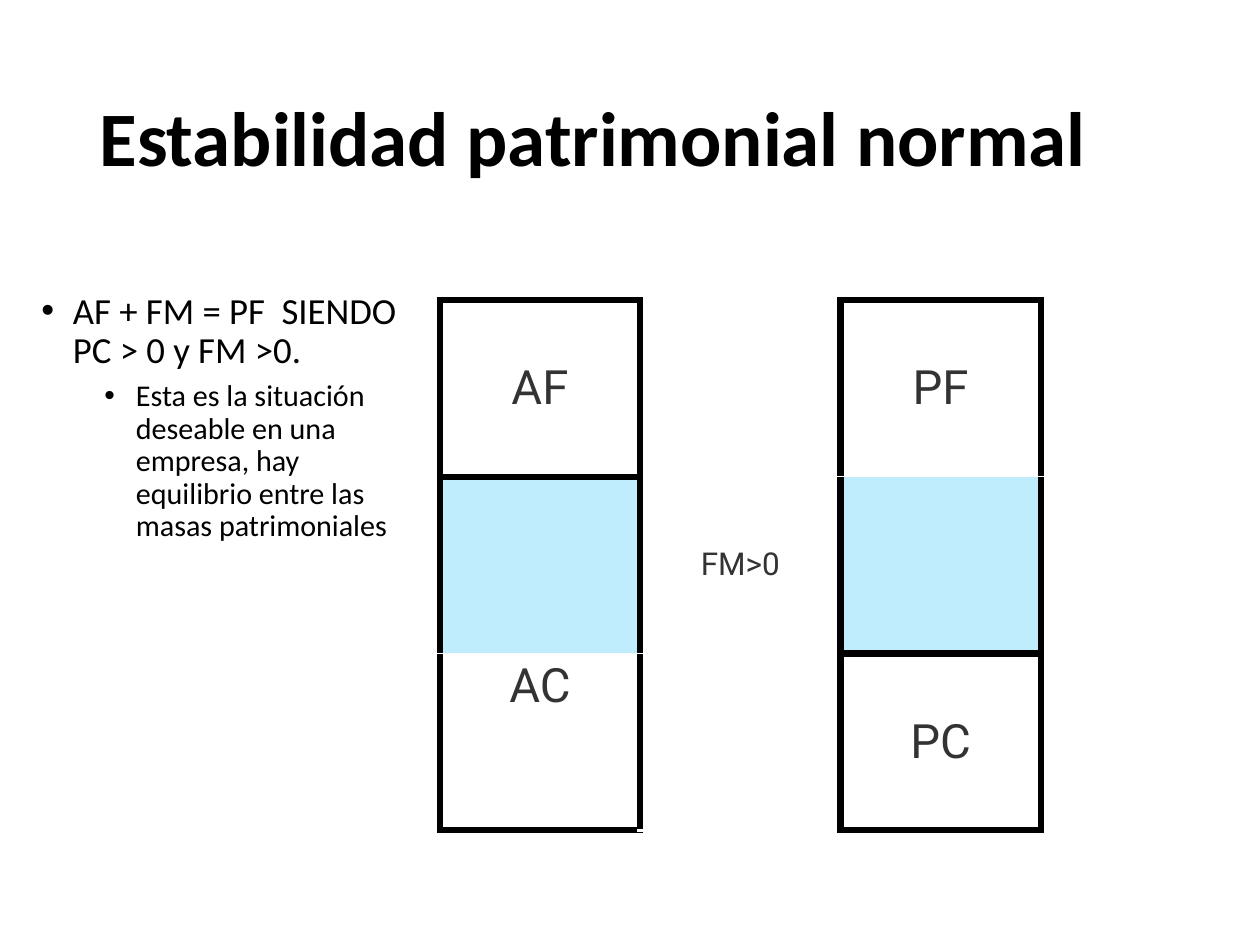
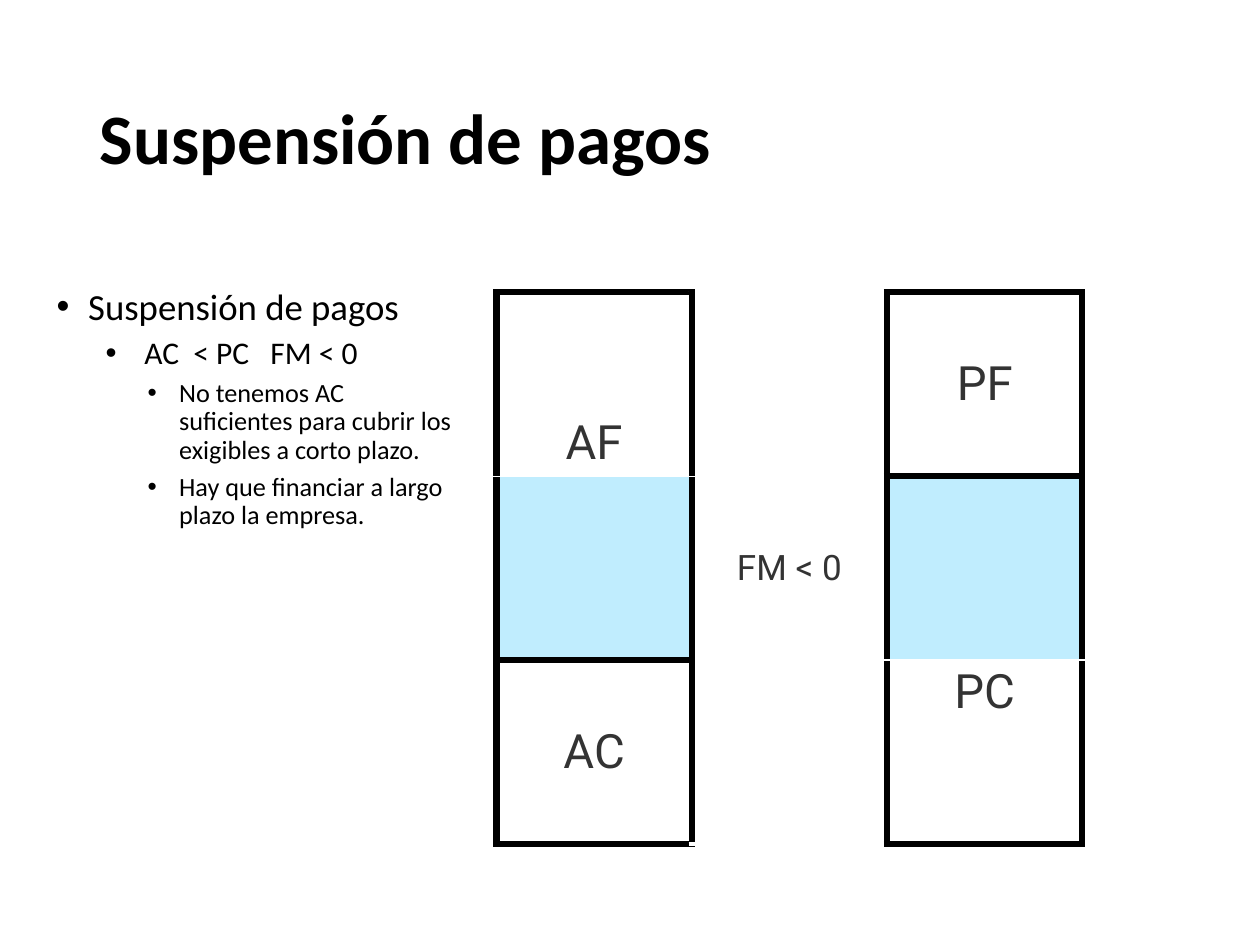
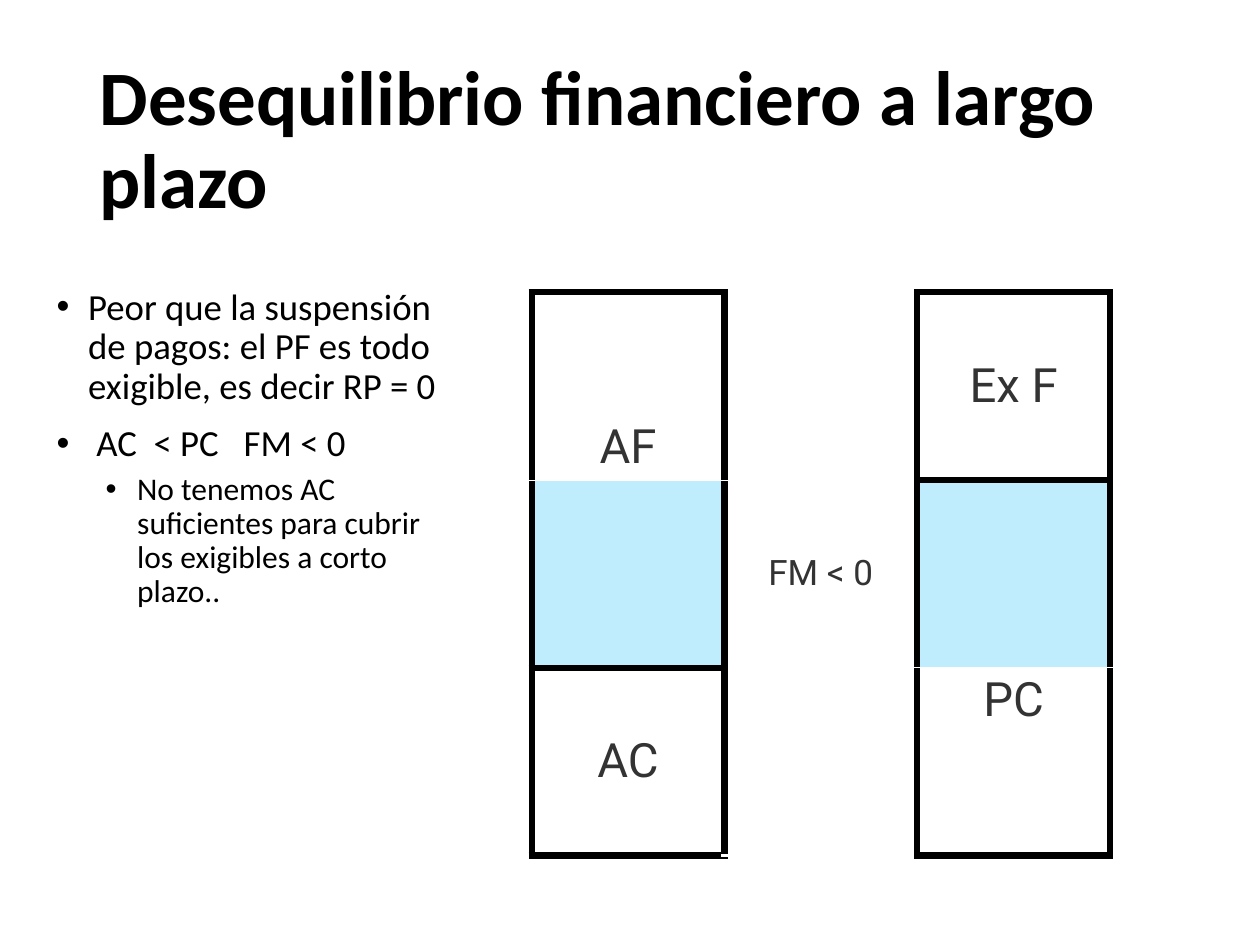
from dataclasses import dataclass

from lxml import etree
from pptx import Presentation
from pptx.dml.color import RGBColor
from pptx.enum.text import MSO_ANCHOR, MSO_AUTO_SIZE, PP_ALIGN
from pptx.oxml.ns import qn
from pptx.slide import Slide
from pptx.table import Table, _Cell
from pptx.text.text import TextFrame, _Paragraph
from pptx.util import Pt

TOP, MID, LOW = MSO_ANCHOR.TOP, MSO_ANCHOR.MIDDLE, MSO_ANCHOR.BOTTOM
LEFT, MIDST = PP_ALIGN.LEFT, PP_ALIGN.CENTER
FIXED = MSO_AUTO_SIZE.NONE

BLACK = RGBColor(0x00, 0x00, 0x00)
WHITE = RGBColor(0xFF, 0xFF, 0xFF)
GREY = RGBColor(0x33, 0x33, 0x33)
SKY = RGBColor(0xC0, 0xED, 0xFE)

BODY_FONT, GRID_FONT = "Calibri", "Roboto"
HANG = 18
PAD = 2.9
WALL = (BLACK, 4)


@dataclass(frozen=True)
class Item:
    text: str
    size: float
    indent: float = 18
    level: int = 0


@dataclass(frozen=True)
class Bar:
    upper: str
    lower: str
    joint: int
    seam: float = 1
    top_pin: MSO_ANCHOR = MID
    low_pin: MSO_ANCHOR = MID


@dataclass(frozen=True)
class Grid:
    left: float
    top: float
    wide: float
    high: float
    assets: Bar
    label: str
    label_size: float
    debts: Bar


@dataclass(frozen=True)
class Page:
    title: str
    size: float
    box: tuple[float, float, float, float]
    items: list[Item]
    grid: Grid


def place(shape, box: tuple[float, float, float, float]) -> None:
    shape.left, shape.top, shape.width, shape.height = map(Pt, box)


def write(para: _Paragraph, text: str, size: float, font: str,
          color: RGBColor, bold: bool = False) -> None:
    run = para.add_run()
    run.text = text
    run.font.size = Pt(size)
    run.font.name = font
    run.font.color.rgb = color
    run.font.bold = bold


def add_title(slide: Slide, text: str, size: float) -> None:
    shape = slide.shapes.title
    place(shape, (49.7, 28.8, 620.6, 104.4))
    frame = shape.text_frame
    frame.auto_size = FIXED
    frame.vertical_anchor = MID
    para = frame.paragraphs[0]
    para.alignment = LEFT
    para.line_spacing = 0.9
    write(para, text, size, BODY_FONT, BLACK, True)


def add_item(frame: TextFrame, item: Item, first: bool) -> None:
    para = frame.paragraphs[0] if first else frame.add_paragraph()
    para.level = item.level
    para.line_spacing = 0.9
    para.space_before = Pt(5 if item.level else 10)
    props = para._p.get_or_add_pPr()
    props.set("marL", str(Pt(item.indent)))
    props.set("indent", str(-Pt(HANG)))
    etree.SubElement(props, qn("a:buFont"), typeface="Arial")
    etree.SubElement(props, qn("a:buChar"), char="•")
    write(para, item.text, item.size, BODY_FONT, BLACK)


def add_list(slide: Slide, page: Page) -> None:
    shape = slide.placeholders[1]
    place(shape, page.box)
    frame = shape.text_frame
    frame.auto_size = FIXED
    frame.margin_left, frame.margin_right = Pt(5), Pt(7.9)
    frame.margin_top = frame.margin_bottom = Pt(PAD)
    for rank, item in enumerate(page.items):
        add_item(frame, item, rank == 0)


def edge(cell: _Cell, top: tuple[RGBColor, float],
         low: tuple[RGBColor, float]) -> None:
    props = cell._tc.get_or_add_tcPr()
    for side, (color, width) in zip("LRTB", (WALL, WALL, top, low)):
        line = etree.SubElement(props, qn(f"a:ln{side}"), w=str(Pt(width)))
        fill = etree.SubElement(line, qn("a:solidFill"))
        etree.SubElement(fill, qn("a:srgbClr"), val=str(color))


def label(cell: _Cell, text: str, size: float, pin: MSO_ANCHOR) -> None:
    cell.vertical_anchor = pin
    cell.margin_left = cell.margin_right = Pt(PAD)
    cell.margin_top = cell.margin_bottom = Pt(PAD)
    para = cell.text_frame.paragraphs[0]
    para.alignment = MIDST
    write(para, text, size, GRID_FONT, GREY)


def draw_bar(table: Table, col: int, bar: Bar) -> None:
    lines = [WALL] * 4
    lines[bar.joint] = (WHITE, bar.seam)
    for row in range(3):
        cell = table.cell(row, col)
        edge(cell, lines[row], lines[row + 1])
        if row == 1:
            cell.fill.solid()
            cell.fill.fore_color.rgb = SKY
        else:
            cell.fill.background()
    label(table.cell(0, col), bar.upper, 27, bar.top_pin)
    label(table.cell(2, col), bar.lower, 27, bar.low_pin)


def add_grid(slide: Slide, grid: Grid) -> None:
    box = (grid.left, grid.top, 3 * grid.wide, 3 * grid.high)
    table = slide.shapes.add_table(3, 3, *map(Pt, box)).table
    table.first_row = table.horz_banding = False
    for col in table.columns:
        col.width = Pt(grid.wide)
    for row in table.rows:
        row.height = Pt(grid.high)
    draw_bar(table, 0, grid.assets)
    draw_bar(table, 2, grid.debts)
    for row in range(3):
        cell = table.cell(row, 1)
        edge(cell, (WHITE, 1), (WHITE, 2.25))
        cell.fill.background()
    table.cell(0, 1).merge(table.cell(2, 1))
    label(table.cell(0, 1), grid.label, grid.label_size, MID)


SHORT = Bar("AF", "AC", 1, 0.25, top_pin=LOW)

PAGES = [
    Page(
        "Estabilidad patrimonial normal", 44, (18.7, 164.2, 221.8, 310.3),
        [
            Item("AF + FM = PF  SIENDO  PC > 0 y FM >0.", 21),
            Item("Esta es la situación deseable en una empresa, hay "
                 "equilibrio entre las masas patrimoniales", 17.2, 54, 1),
        ],
        Grid(251.3, 171.4, 114.5, 101,
             Bar("AF", "AC", 2, low_pin=TOP), "FM>0", 18,
             Bar("PF", "PC", 1)),
    ),
    Page(
        "Suspensión de pagos", 40.5, (27.4, 162, 239, 265),
        [
            Item("Suspensión de pagos", 21),
            Item(" AC  < PC   FM < 0", 18, 46, 1),
            Item("No tenemos AC suficientes para cubrir los exigibles "
                 "a corto plazo.", 15, 70, 2),
            Item("Hay que financiar a largo plazo la empresa.", 15, 70, 2),
        ],
        Grid(283.7, 167, 111.6, 105.1, SHORT, "FM < 0", 20,
             Bar("PF", "PC", 2, low_pin=TOP)),
    ),
    Page(
        "Desequilibrio financiero a largo plazo", 44, (27.4, 162, 239, 310.3),
        [
            Item("Peor que la suspensión de pagos: el PF es todo exigible, "
                 "es decir RP = 0", 21),
            Item(" AC  < PC   FM < 0", 21),
            Item("No tenemos AC suficientes para cubrir los exigibles "
                 "a corto plazo..", 18, 46, 1),
        ],
        Grid(303.8, 167, 110.2, 107.3, SHORT, "FM < 0", 20,
             Bar("Ex F", "PC", 2, low_pin=TOP)),
    ),
]


def main() -> None:
    deck = Presentation()
    deck.slide_width, deck.slide_height = Pt(720), Pt(540)
    for page in PAGES:
        slide = deck.slides.add_slide(deck.slide_layouts[1])
        add_title(slide, page.title, page.size)
        add_list(slide, page)
        add_grid(slide, page.grid)
    deck.save("out.pptx")


main()
